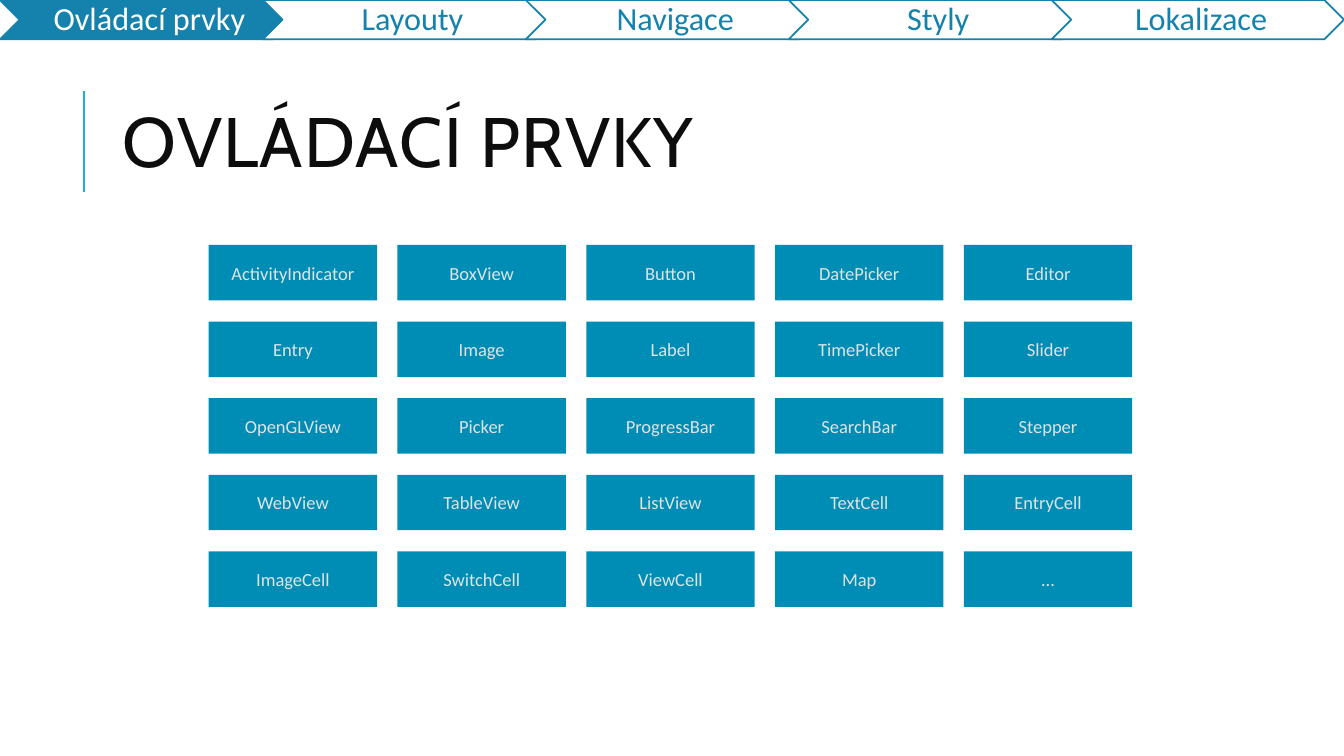
"""Build the overview slide of user interface controls."""
from lxml.etree import SubElement
from pptx import Presentation
from pptx.dml.color import RGBColor
from pptx.enum.shapes import MSO_CONNECTOR as Connector, MSO_SHAPE as Shape
from pptx.enum.text import MSO_ANCHOR as Anchor, PP_ALIGN as Align
from pptx.oxml.ns import qn
from pptx.util import Inches, Pt

COLORS = {
    "accent": "1CADE4",
    "chevron": "1482AC",
    "tile": "008DB5",
    "tile_text": "DFE3E5",
    "title": "0D0D0D",
    "white": "FFFFFF",
}
SECTIONS = ["Ovládací prvky", "Layouty", "Navigace", "Styly", "Lokalizace"]
CONTROLS = [
    ["ActivityIndicator", "BoxView", "Button", "DatePicker", "Editor"],
    ["Entry", "Image", "Label", "TimePicker", "Slider"],
    ["OpenGLView", "Picker", "ProgressBar", "SearchBar", "Stepper"],
    ["WebView", "TableView", "ListView", "TextCell", "EntryCell"],
    ["ImageCell", "SwitchCell", "ViewCell", "Map", "…"],
]


def color(name):
    return RGBColor.from_string(COLORS[name])


def write(shape, text, *, size, fill, font="Calibri", align=Align.CENTER,
          line_spacing=1.0, tracking=None, insets=(0.1, 0.05, 0.1, 0.05)):
    frame = shape.text_frame
    frame.word_wrap = True
    frame.vertical_anchor = Anchor.MIDDLE
    (frame.margin_left, frame.margin_top,
     frame.margin_right, frame.margin_bottom) = map(Inches, insets)
    paragraph = frame.paragraphs[0]
    paragraph.alignment = align
    paragraph.line_spacing = line_spacing
    run = paragraph.add_run()
    run.text = text
    run.font.name = font
    run.font.size = Pt(size)
    run.font.color.rgb = color(fill)
    if tracking is not None:
        run._r.get_or_add_rPr().set("spc", str(tracking * 100))


class ControlsSlide:
    def __init__(self, presentation):
        self.slide = presentation.slides.add_slide(presentation.slide_layouts[6])
        self.shapes = self.slide.shapes

    def add_block(self, kind, box, fill):
        shape = self.shapes.add_shape(kind, *map(Inches, box))
        shape.shadow.inherit = False
        shape.fill.solid()
        shape.fill.fore_color.rgb = color(fill)
        return shape

    def add_tile(self, left, top, text):
        tile = self.add_block(Shape.ROUNDED_RECTANGLE, (left, top, 1.67, 0.55), "tile")
        tile.adjustments[0] = 0
        tile.line.fill.background()
        write(tile, text, size=13.2, fill="tile_text")

    def add_chevron(self, left, text, active):
        fill, text_fill = ("chevron", "white") if active else ("white", "chevron")
        chevron = self.add_block(Shape.CHEVRON, (left, 0, 2.9, 0.39), fill)
        chevron.line.color.rgb = color("chevron")
        chevron.line.width = Pt(1.25)
        write(chevron, text, size=23, fill=text_fill, line_spacing=0.9,
              insets=(0.1, 0.03, 0.03, 0.03))

    def add_title(self, text):
        title = self.shapes.add_textbox(*map(Inches, (1.12, 0.64, 10.63, 1.64)))
        write(title, text, size=50, fill="title", font="Cabin", align=Align.LEFT,
              line_spacing=0.8, tracking=1)

    def add_line(self, *ends):
        line = self.shapes.add_connector(Connector.STRAIGHT, *map(Inches, ends))
        line.line.color.rgb = color("accent")
        line.line.width = Pt(1.5)
        SubElement(line._element.spPr, qn("a:effectLst"))


def main():
    presentation = Presentation()
    presentation.slide_width = Inches(13.33)
    presentation.slide_height = Inches(7.5)
    page = ControlsSlide(presentation)

    page.add_line(0.83, 1.9, 0.83, 0.9)
    page.add_title("OVLÁDACÍ PRVKY")
    column_step = (9.56 - 2.07) / 4
    for row, names in enumerate(CONTROLS):
        for column, name in enumerate(names):
            page.add_tile(2.07 + column * column_step, 2.43 + row * 0.76, name)
    chevron_step = (13.33 - 2.9) / 4
    for index, section in enumerate(SECTIONS):
        page.add_chevron(index * chevron_step, section, active=index == 0)

    presentation.save("out.pptx")


if __name__ == "__main__":
    main()
